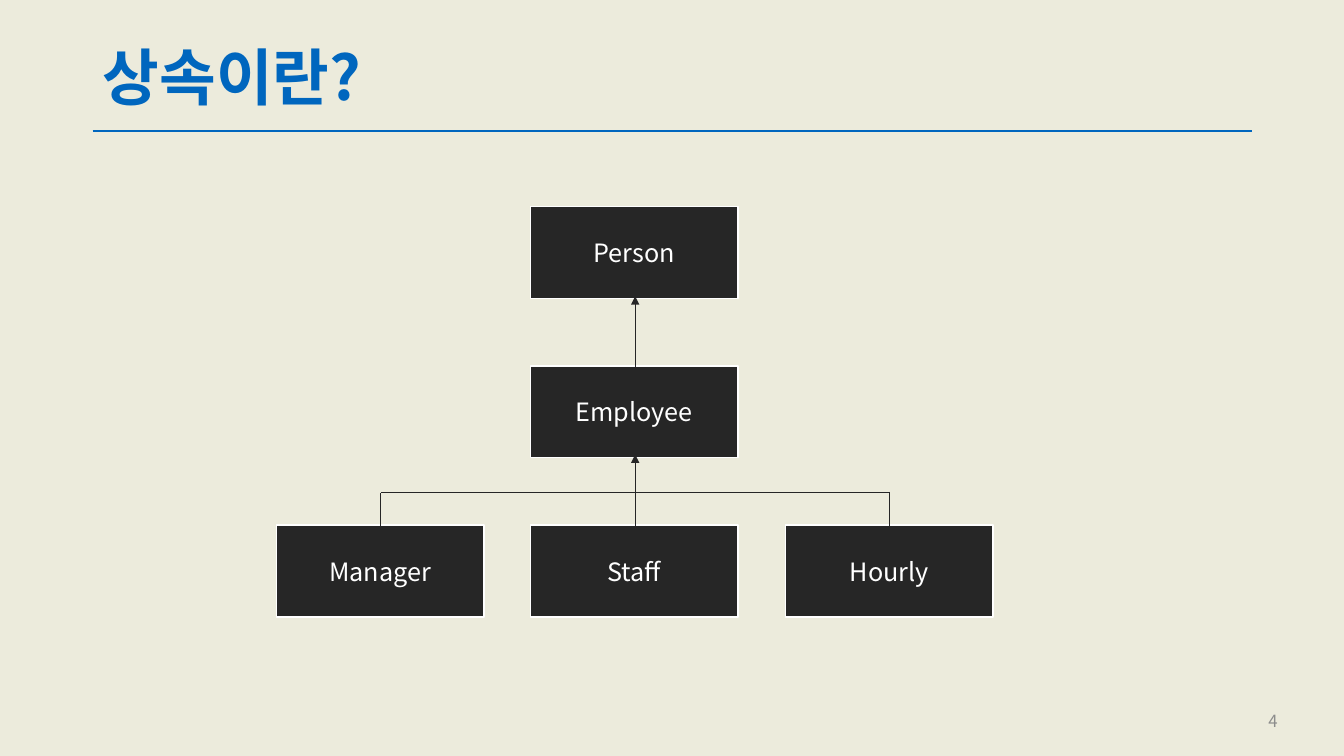
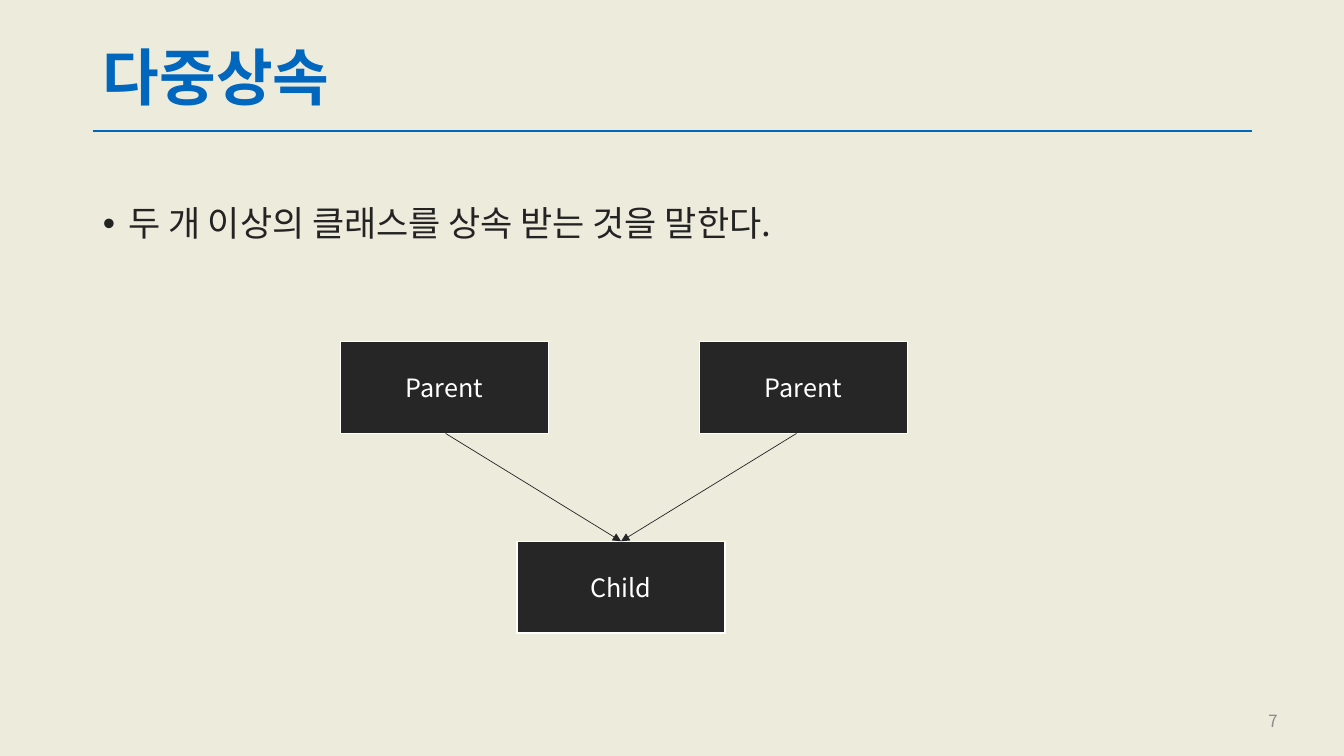
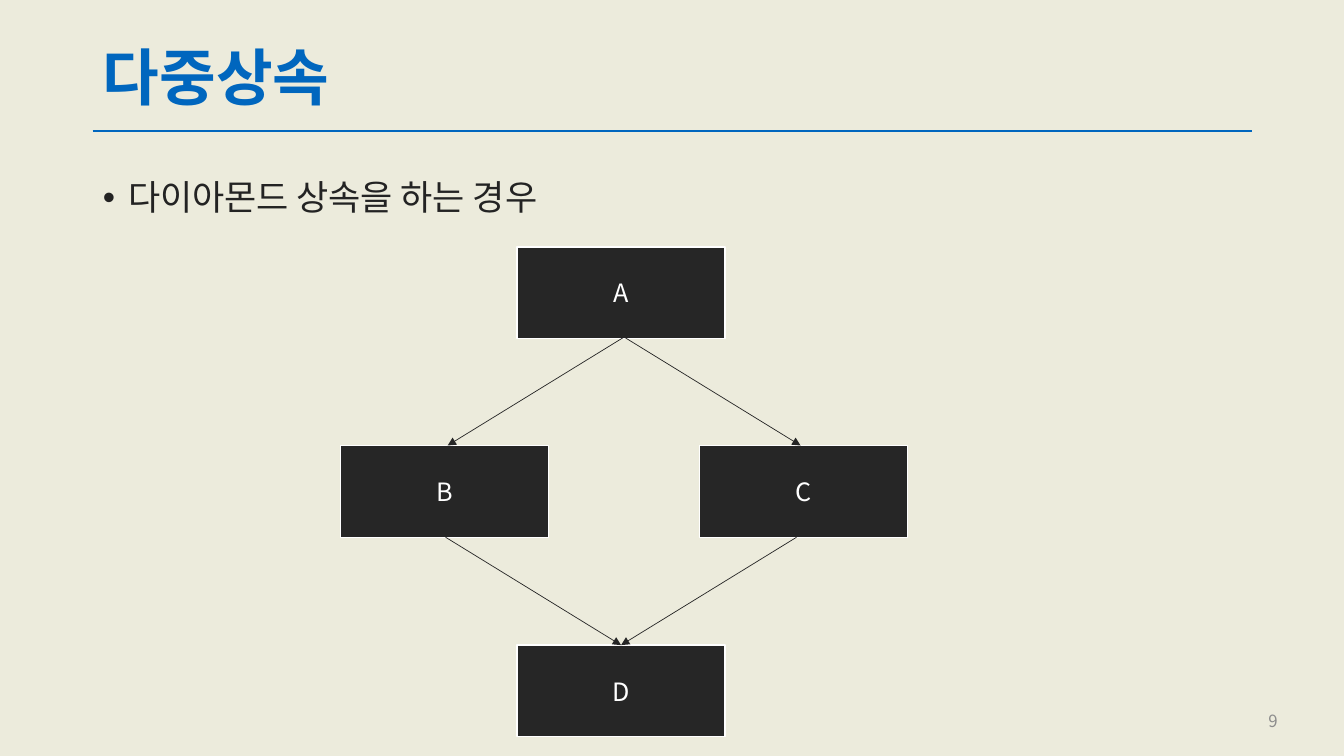
from lxml.etree import SubElement
from pptx import Presentation
from pptx.dml.color import RGBColor
from pptx.enum.shapes import MSO_CONNECTOR, MSO_SHAPE
from pptx.enum.text import MSO_ANCHOR, MSO_AUTO_SIZE, PP_ALIGN
from pptx.oxml.ns import qn
from pptx.util import Inches, Pt

CREAM = RGBColor(0xEC, 0xEB, 0xDC)
BLUE = RGBColor(0x00, 0x66, 0xBE)
CHARCOAL = RGBColor(0x26, 0x26, 0x26)
INK = RGBColor(0x23, 0x23, 0x23)
GRAY = RGBColor(0x8C, 0x8C, 0x8C)
WHITE = RGBColor(0xFF, 0xFF, 0xFF)
FONT = "Noto Sans CJK KR"

MARGIN, CONTENT_WIDTH = 0.92, 11.5
BOX_WIDTH, BOX_HEIGHT = 2.06, 0.91


def write(frame, text, size, color, align, anchor=MSO_ANCHOR.MIDDLE, bold=False):
    """Put one formatted paragraph in a text frame and return the paragraph."""
    frame.text = text
    frame.word_wrap = True
    frame.auto_size = MSO_AUTO_SIZE.NONE
    frame.vertical_anchor = anchor
    paragraph = frame.paragraphs[0]
    paragraph.alignment = align
    run = paragraph.runs[0]
    run.font.size = Pt(size)
    run.font.bold = bold
    run.font.color.rgb = color
    run.font.name = FONT
    SubElement(run._r.get_or_add_rPr(), qn("a:ea"), typeface=FONT)
    return paragraph


def draw_line(slide, start, end, color, width, arrow=False):
    """Draw a straight line, with an arrowhead at its end if asked."""
    line = slide.shapes.add_connector(
        MSO_CONNECTOR.STRAIGHT, *[Inches(value) for value in (*start, *end)])
    line.line.color.rgb = color
    line.line.width = Pt(width)
    properties = line._element.spPr
    if arrow:
        SubElement(properties.find(qn("a:ln")), qn("a:tailEnd"), type="triangle")
    SubElement(properties, qn("a:effectLst"))


# Class tree: three rows and three columns of boxes
rows = [2.05 + 1.58 * row for row in range(3)]
columns = [2.74, 5.26, 7.79]
tree_boxes = [("Person", columns[1], rows[0]), ("Employee", columns[1], rows[1])]
tree_boxes += [(name, left, rows[2])
               for name, left in zip(("Manager", "Staff", "Hourly"), columns)]
tree_arrows = [((6.3, 3.64), (6.3, 2.94)), ((6.3, 5.22), (6.3, 4.51))]
tree_branches = [((3.77, 4.89), (3.77, 5.23)), ((8.82, 4.88), (8.82, 5.23)),
                 ((3.78, 4.88), (8.83, 4.88))]

# Multiple inheritance: a pair of classes above a shared child
LEFT, MIDDLE, RIGHT = 3.38, 5.13, 6.94
parents_top, child_top = 3.39, 5.37
parent_arrows = [((x, parents_top + BOX_HEIGHT), (6.16, child_top)) for x in (4.42, 7.9)]

# Diamond: the same pair moved down, below a common ancestor
drop = 1.03
diamond_arrows = [((x1, y1 + drop), (x2, y2 + drop))
                  for (x1, y1), (x2, y2) in parent_arrows]
diamond_arrows += [((6.18, 3.35), (4.44, 4.42)), ((6.2, 3.35), (7.94, 4.42))]

pages = [
    dict(title="상속이란?", number="4", bullet=None, boxes=tree_boxes,
         arrows=tree_arrows, branches=tree_branches),
    dict(title="다중상속", number="7", bullet="두 개 이상의 클래스를 상속 받는 것을 말한다.",
         bullet_top=2,
         boxes=[("Parent", RIGHT, parents_top), ("Parent", LEFT, parents_top),
                ("Child", MIDDLE, child_top)],
         arrows=parent_arrows, branches=[]),
    dict(title="다중상속", number="9", bullet="다이아몬드 상속을 하는 경우", bullet_top=1.74,
         boxes=[("C", RIGHT, parents_top + drop), ("B", LEFT, parents_top + drop),
                ("D", MIDDLE, child_top + drop), ("A", MIDDLE, 2.45)],
         arrows=diamond_arrows, branches=[]),
]

deck = Presentation()
deck.slide_width, deck.slide_height = Inches(13.33), Inches(7.5)
background = deck.slide_master.background.fill
background.solid()
background.fore_color.rgb = CREAM
title_only, title_and_body = deck.slide_layouts[5], deck.slide_layouts[1]

for page in pages:
    slide = deck.slides.add_slide(title_and_body if page["bullet"] else title_only)
    draw_line(slide, (MARGIN, 1.3), (MARGIN + CONTENT_WIDTH, 1.3), BLUE, 1.5)

    title = slide.shapes.title
    title.left, title.top = Inches(MARGIN), Inches(0.4)
    title.width, title.height = Inches(CONTENT_WIDTH), Inches(0.8)
    heading = write(title.text_frame, page["title"], 44, BLUE, PP_ALIGN.LEFT, bold=True)
    heading.line_spacing = 0.9

    number = slide.shapes.add_textbox(Inches(9.77), Inches(6.95), Inches(3), Inches(0.4))
    write(number.text_frame, page["number"], 12, GRAY, PP_ALIGN.RIGHT)

    if page["bullet"]:
        body = slide.placeholders[1]
        body.left, body.top = Inches(MARGIN), Inches(page["bullet_top"])
        body.width, body.height = Inches(CONTENT_WIDTH), Inches(4.14)
        point = write(body.text_frame, page["bullet"], 25, INK, PP_ALIGN.LEFT, MSO_ANCHOR.TOP)
        point.line_spacing = 0.9
        point.space_before = Pt(10)
        indents = point._p.get_or_add_pPr()
        indents.set("marL", str(Inches(0.25)))
        indents.set("indent", str(Inches(-0.25)))
        SubElement(indents, qn("a:buChar"), char="•")

    for name, left, top in page["boxes"]:
        box = slide.shapes.add_shape(MSO_SHAPE.RECTANGLE, Inches(left), Inches(top),
                                     Inches(BOX_WIDTH), Inches(BOX_HEIGHT))
        box.shadow.inherit = False
        box.fill.solid()
        box.fill.fore_color.rgb = CHARCOAL
        box.line.color.rgb = WHITE
        box.line.width = Pt(1)
        write(box.text_frame, name, 18, WHITE, PP_ALIGN.CENTER)

    for start, end in page["arrows"]:
        draw_line(slide, start, end, CHARCOAL, 0.5, arrow=True)
    for start, end in page["branches"]:
        draw_line(slide, start, end, CHARCOAL, 0.5)

deck.save("out.pptx")
